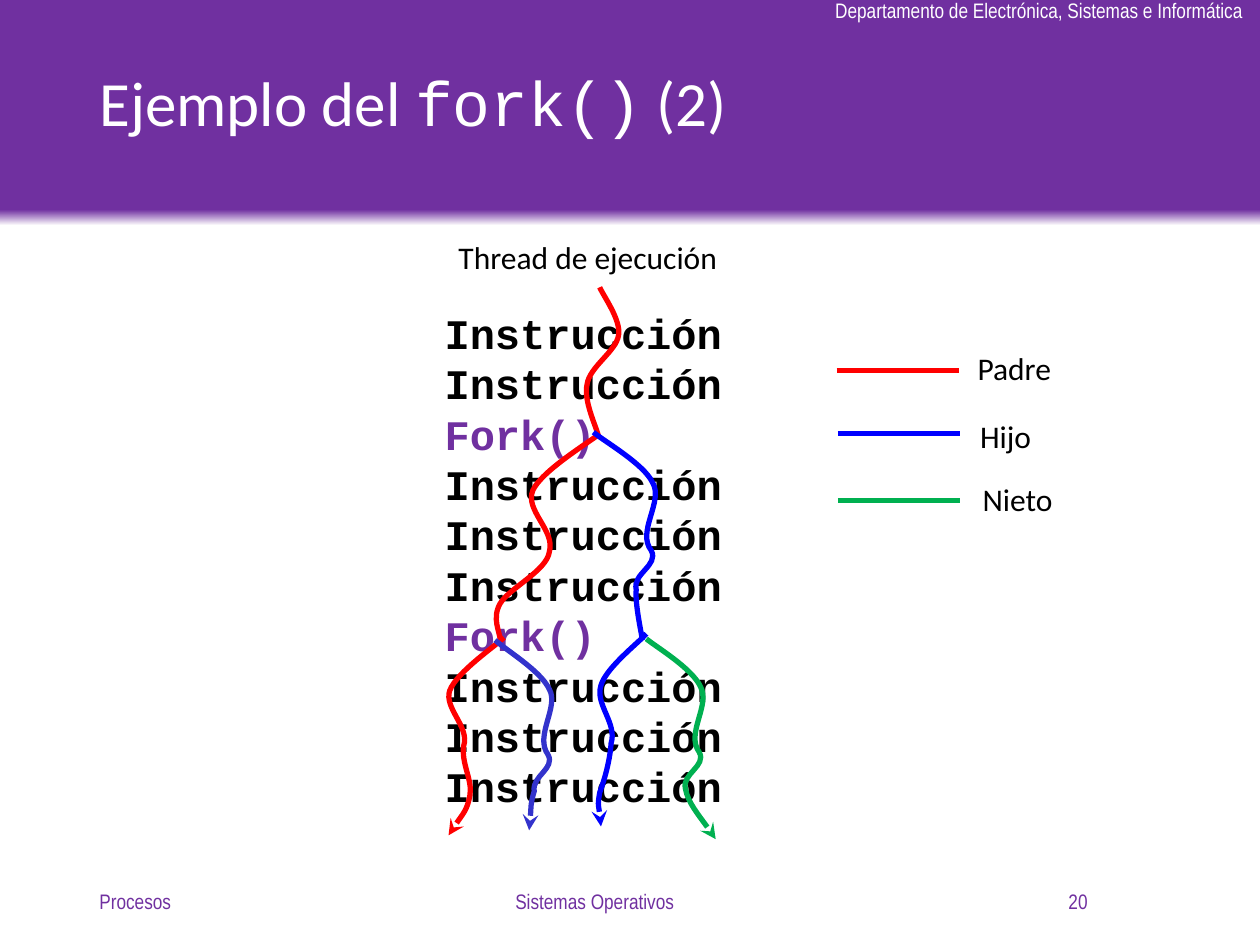
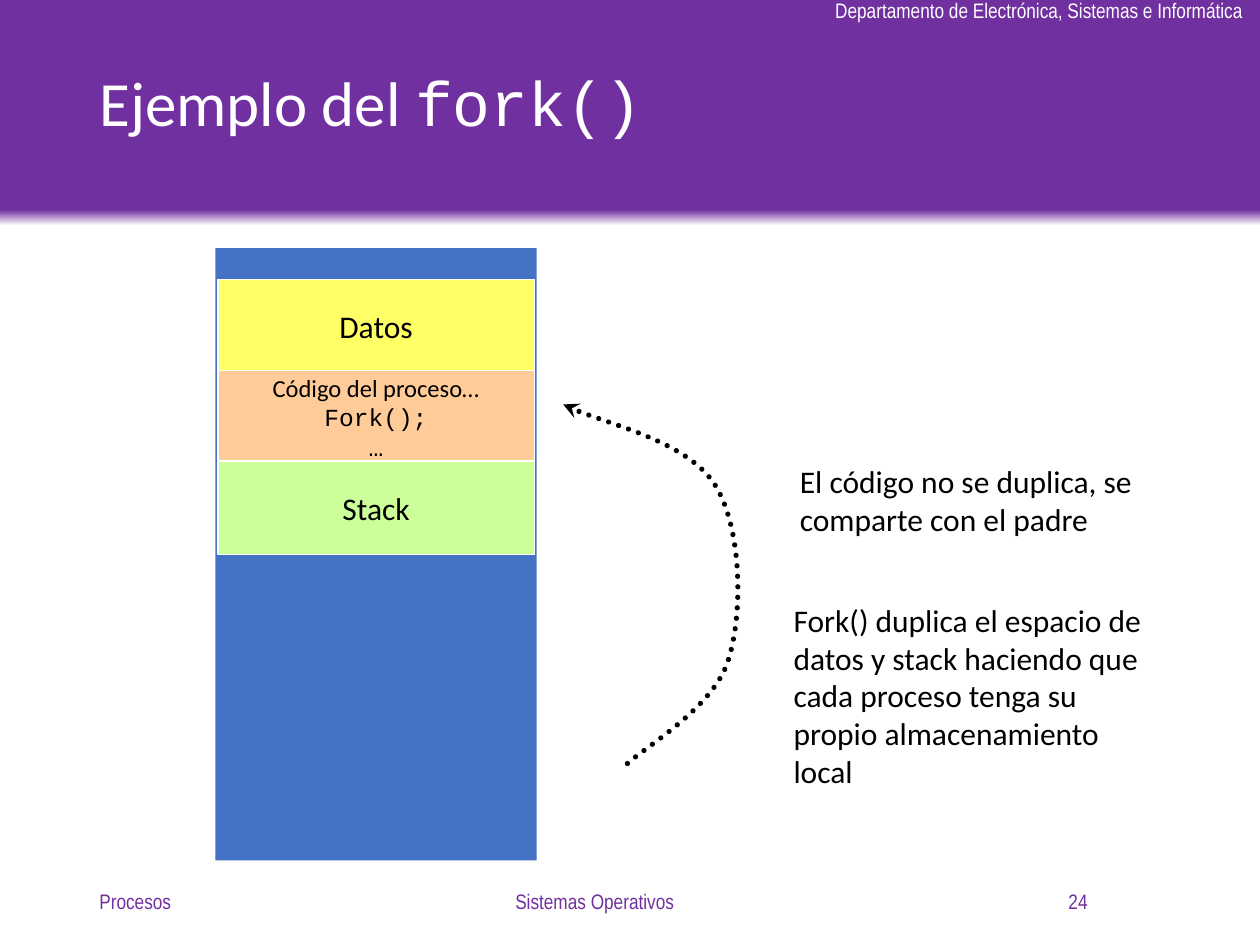
from dataclasses import dataclass
from typing import Optional

import pptx
import pptx.dml.color
import pptx.enum.dml
import pptx.enum.shapes
import pptx.enum.text
import pptx.oxml.ns
import pptx.util
from lxml import etree

Inches = pptx.util.Inches
Pt = pptx.util.Pt
ALIGN = pptx.enum.text.PP_ALIGN
MIDDLE = pptx.enum.text.MSO_ANCHOR.MIDDLE
RECTANGLE = pptx.enum.shapes.MSO_SHAPE.RECTANGLE
qn = pptx.oxml.ns.qn

BODY, CODE, SMALL = "Calibri", "Courier New", "Arial Narrow"

COLORS = {
    "purple": "7030A0",
    "white": "FFFFFF",
    "black": "000000",
    "red": "FF0000",
    "blue": "0000FF",
    "indigo": "3333CC",
    "green": "00B050",
    "memory": "4472C4",
    "data": "FFFF66",
    "program": "FFCC99",
    "stack": "CCFF99",
}


@dataclass
class Line:
    text: str
    font: str = BODY
    size: int = 18
    color: str = "black"
    bold: bool = False
    align: Optional[ALIGN] = None


@dataclass
class Label:
    box: tuple
    lines: list
    wrap: bool = False
    middle: bool = False


@dataclass
class Curve:
    color: str
    points: list
    arrow: bool = False
    dotted: bool = False


@dataclass
class LegendEntry:
    name: str
    color: str
    line_at: tuple
    text_at: tuple


@dataclass
class Block:
    color: str
    lines: list


def rgb(name: str) -> pptx.dml.color.RGBColor:
    return pptx.dml.color.RGBColor.from_string(COLORS[name])


def write_lines(tf, lines: list) -> None:
    for i, line in enumerate(lines):
        p = tf.paragraphs[0] if i == 0 else tf.add_paragraph()
        p.text = line.text
        p.alignment = line.align
        p.font.name = line.font
        p.font.size = Pt(line.size)
        p.font.bold = line.bold
        p.font.color.rgb = rgb(line.color)


def add_label(s, label: Label) -> None:
    tf = s.shapes.add_textbox(*map(Inches, label.box)).text_frame
    tf.word_wrap = label.wrap
    if label.middle:
        tf.vertical_anchor = MIDDLE
    write_lines(tf, label.lines)


def add_rect(s, box: tuple, color: Optional[str] = None):
    sp = s.shapes.add_shape(RECTANGLE, *map(Inches, box))
    sp.shadow.inherit = False
    sp.line.fill.background()
    if color:
        sp.fill.solid()
        sp.fill.fore_color.rgb = rgb(color)
    return sp


def add_title(s, runs: list) -> None:
    tf = s.shapes.add_textbox(*map(Inches, (0.69, 0.15, 8.62, 1.39))).text_frame
    tf.word_wrap = True
    tf.vertical_anchor = MIDDLE
    p = tf.paragraphs[0]
    p.line_spacing = 0.9
    p.font.size = Pt(36)
    p.font.color.rgb = rgb("white")
    for text, font in runs:
        r = p.add_run()
        r.text = text
        r.font.name = font


def new_slide(prs, title: list, number: str):
    s = prs.slides.add_slide(prs.slide_layouts[6])
    band = add_rect(s, (0, 0, 10, 1.79))
    band.fill.gradient()
    band.fill.gradient_angle = 90
    for stop, position, color in zip(band.fill.gradient_stops, (0, 0.07), ("white", "purple")):
        stop.position = position
        stop.color.rgb = rgb(color)
    department = "Departamento de Electrónica, Sistemas e Informática"
    add_label(s, Label((6.53, -0.07, 3.48, 0.3), [Line(department, SMALL, 12, "white")]))
    add_title(s, title)
    for text, left, width, align in (
        ("Procesos", 0.69, 2.25, ALIGN.LEFT),
        ("Sistemas Operativos", 3.03, 3.38, ALIGN.CENTER),
        (number, 6.48, 2.25, ALIGN.RIGHT),
    ):
        line = Line(text, SMALL, 12, "purple", align=align)
        add_label(s, Label((left, 6.95, width, 0.4), [line], wrap=True, middle=True))
    return s


def add_curve(s, curve: Curve) -> None:
    points = [(Inches(x), Inches(y)) for x, y in curve.points]
    builder = s.shapes.build_freeform(*points[0])
    builder.add_line_segments(points[1:], close=False)
    sp = builder.convert_to_shape()
    segments = sp._element.findall(".//" + qn("a:lnTo"))
    for first, second, third in zip(segments[::3], segments[1::3], segments[2::3]):
        first.tag = qn("a:cubicBezTo")
        for segment in (second, third):
            first.append(segment[0])
            segment.getparent().remove(segment)
    sp.shadow.inherit = False
    sp.fill.background()
    sp.line.color.rgb = rgb(curve.color)
    sp.line.width = Pt(3)
    ln = sp.line._get_or_add_ln()
    if curve.dotted:
        sp.line.dash_style = pptx.enum.dml.MSO_LINE.ROUND_DOT
        ln.set("cap", "rnd")
    if curve.arrow:
        etree.SubElement(ln, qn("a:tailEnd"), type="stealth")


def add_legend_entry(s, entry: LegendEntry) -> None:
    x, y = entry.line_at
    straight = pptx.enum.shapes.MSO_CONNECTOR.STRAIGHT
    cx = s.shapes.add_connector(straight, Inches(x), Inches(y), Inches(x + 0.97), Inches(y))
    cx.line.color.rgb = rgb(entry.color)
    cx.line.width = Pt(3)
    etree.SubElement(cx._element.spPr, qn("a:effectLst"))
    add_label(s, Label((*entry.text_at, 0.79, 0.41), [Line(entry.name)]))


def add_block(s, block: Block, top: float) -> None:
    sp = add_rect(s, (1.73, top, 2.51, 0.74), block.color)
    sp.line.color.rgb = rgb("white")
    sp.line.width = Pt(0.75)
    tf = sp.text_frame
    tf.word_wrap = False
    tf.vertical_anchor = MIDDLE
    write_lines(tf, block.lines)


THREADS = [
    Curve("red", [(4.76, 2.28), (4.79, 2.35), (4.93, 2.54), (4.91, 2.66), (4.89, 2.79),
                  (4.68, 2.91), (4.66, 3.05), (4.63, 3.18), (4.73, 3.38), (4.75, 3.46)]),
    Curve("red", [(4.75, 3.45), (4.66, 3.52), (4.3, 3.74), (4.23, 3.89), (4.16, 4.05),
                  (4.41, 4.21), (4.36, 4.38), (4.34, 4.53), (4.04, 4.67), (3.97, 4.79),
                  (3.9, 4.91), (3.97, 5.02), (3.97, 5.08)]),
    Curve("blue", [(4.71, 3.43), (4.79, 3.5), (5.11, 3.68), (5.18, 3.83), (5.27, 3.98),
                   (5.05, 4.22), (5.17, 4.37), (5.23, 4.49), (5.02, 4.55), (5.05, 4.68),
                   (5.04, 4.79), (5.09, 5.02), (5.1, 5.08)]),
    Curve("red", [(4, 5.06), (3.93, 5.13), (3.63, 5.33), (3.57, 5.48), (3.52, 5.62),
                  (3.73, 5.77), (3.68, 5.92), (3.66, 6.06), (3.75, 6.19), (3.73, 6.31),
                  (3.71, 6.43), (3.6, 6.56), (3.56, 6.63)], arrow=True),
    Curve("indigo", [(3.93, 5.08), (4, 5.15), (4.29, 5.32), (4.36, 5.47), (4.44, 5.61),
                     (4.24, 5.84), (4.35, 5.99), (4.41, 6.1), (4.22, 6.16), (4.24, 6.28),
                     (4.21, 6.38), (4.21, 6.53), (4.2, 6.59)], arrow=True),
    Curve("blue", [(5.13, 5.03), (5.07, 5.1), (4.81, 5.3), (4.77, 5.44), (4.72, 5.59),
                   (4.9, 5.74), (4.85, 5.9), (4.84, 6.04), (4.8, 6.18), (4.76, 6.29),
                   (4.74, 6.4), (4.77, 6.5), (4.77, 6.56)], arrow=True),
    Curve("green", [(5.13, 5.07), (5.2, 5.13), (5.49, 5.3), (5.56, 5.45), (5.64, 5.6),
                    (5.44, 5.82), (5.55, 5.97), (5.61, 6.08), (5.41, 6.14), (5.44, 6.26),
                    (5.46, 6.37), (5.63, 6.58), (5.68, 6.66)], arrow=True),
]

LEGEND = [
    LegendEntry("Padre", "red", (6.64, 2.94), (7.66, 2.72)),
    LegendEntry("Hijo", "blue", (6.65, 3.44), (7.68, 3.26)),
    LegendEntry("Nieto", "green", (6.65, 3.97), (7.7, 3.76)),
]

BLOCKS = [
    Block("data", [Line("Datos", align=ALIGN.CENTER)]),
    Block("program", [
        Line("Código del proceso…", size=14, align=ALIGN.CENTER),
        Line("Fork();", CODE, 14, align=ALIGN.CENTER),
        Line("…", CODE, 14, align=ALIGN.CENTER),
    ]),
    Block("stack", [Line("Stack", align=ALIGN.CENTER)]),
]

SHARED_CODE = Curve("black", [(4.98, 6.06), (5.12, 5.93), (5.67, 5.61), (5.78, 5.24),
                              (5.9, 4.87), (5.89, 4.18), (5.67, 3.84), (5.45, 3.51),
                              (4.72, 3.34), (4.47, 3.21)], arrow=True, dotted=True)

NOTES = [
    Label((6.25, 3.62, 3.24, 0.71),
          [Line("El código no se duplica, se comparte con el padre")], wrap=True),
    Label((6.2, 4.72, 3.13, 1.6),
          [Line("Fork() duplica el espacio de datos y stack haciendo que cada proceso "
                "tenga su propio almacenamiento local")], wrap=True),
]


def build_threads_slide(prs) -> None:
    s = new_slide(prs, [("Ejemplo del ", BODY), ("fork()", CODE), (" (2)", BODY)], "20")
    instruction = Line("Instrucción", CODE, 24, bold=True)
    fork = Line("Fork()", CODE, 24, "purple", bold=True)
    program = [instruction] * 2 + ([fork] + [instruction] * 3) * 2
    add_label(s, Label((3.43, 2.39, 2.42, 4.55), program))
    add_label(s, Label((3.54, 1.84, 2.28, 0.41), [Line("Thread de ejecución")]))
    for thread in THREADS:
        add_curve(s, thread)
    for entry in LEGEND:
        add_legend_entry(s, entry)


def build_memory_slide(prs) -> None:
    s = new_slide(prs, [("Ejemplo del ", BODY), ("fork()", CODE)], "24")
    add_rect(s, (1.71, 1.97, 2.55, 4.86), "memory")
    for i, block in enumerate(BLOCKS):
        add_block(s, block, 2.22 + 0.72 * i)
    add_curve(s, SHARED_CODE)
    for note in NOTES:
        add_label(s, note)


def main() -> None:
    prs = pptx.Presentation()
    prs.slide_width = Inches(10)
    prs.slide_height = Inches(7.5)
    build_threads_slide(prs)
    build_memory_slide(prs)
    prs.save("out.pptx")


if __name__ == "__main__":
    main()
